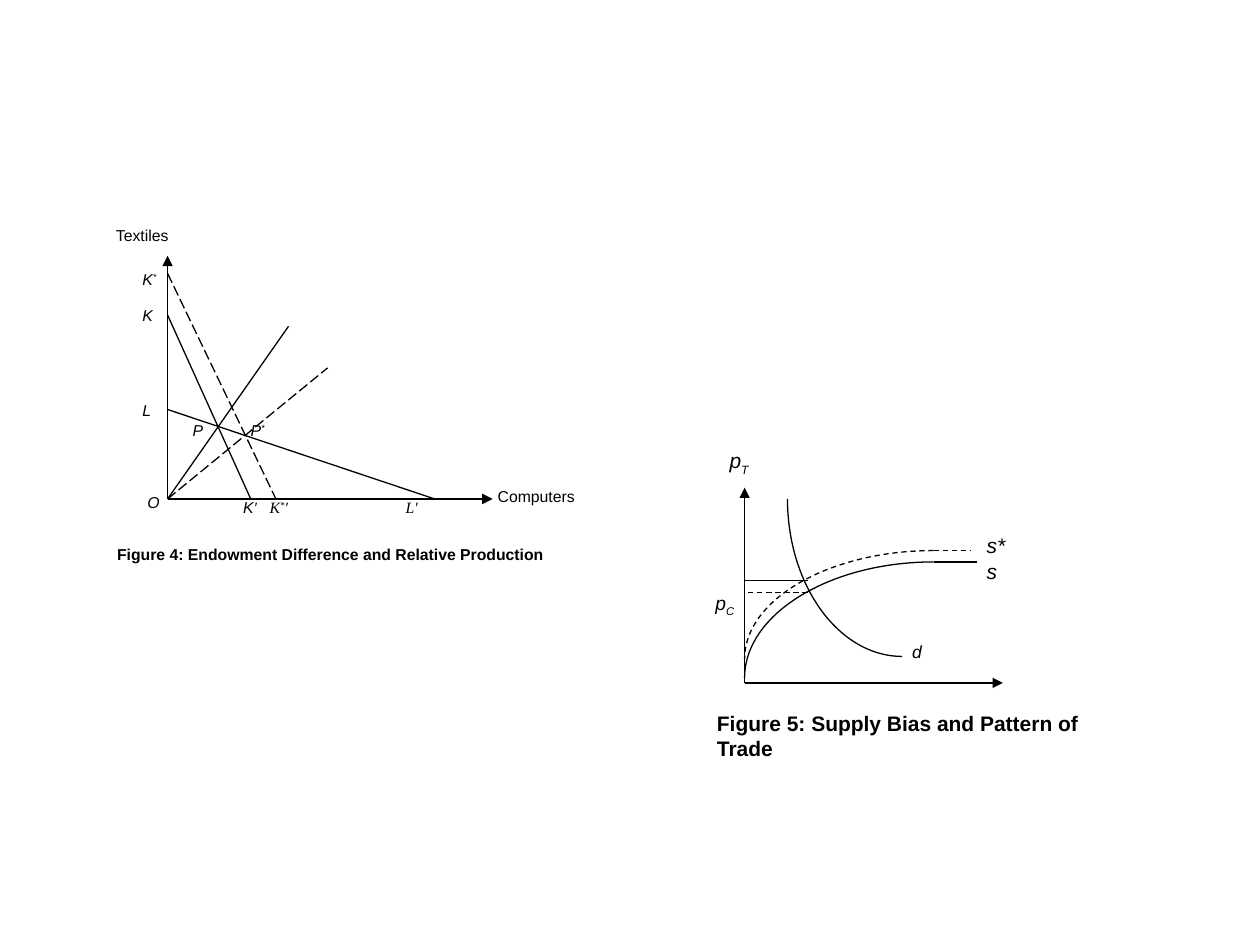
from lxml.etree import SubElement
from pptx import Presentation
from pptx.dml.color import RGBColor
from pptx.enum.dml import MSO_LINE as Dash
from pptx.enum.shapes import MSO_CONNECTOR as Connector
from pptx.oxml.ns import qn
from pptx.util import Inches, Pt

BLACK = RGBColor(0, 0, 0)
LINE_WIDTH = Pt(0.75)
BASELINES = {"^": "30000", "_": "-25000"}
BASELINES["_"] = "-30000"

BASELINES = {"^": "30000", "_": "-30000"}

deck = Presentation()
deck.slide_width, deck.slide_height = Inches(10), Inches(7.5)
slide = deck.slides.add_slide(deck.slide_layouts[6])


def add_text(text, left, top, width, height, size=9, font="Arial", lead_font="Arial",
             bold=False, italic=True, inset=(0.05, 0.02), tabs=()):
    box = slide.shapes.add_textbox(Inches(left), Inches(top), Inches(width), Inches(height))
    frame = box.text_frame
    frame.word_wrap = True
    frame.margin_left = frame.margin_right = Inches(inset[0])
    frame.margin_top = frame.margin_bottom = Inches(inset[1])
    for row, line in enumerate(text.split("\n")):
        paragraph = frame.add_paragraph() if row else frame.paragraphs[0]
        if tabs:
            tab_list = SubElement(paragraph._p.get_or_add_pPr(), qn("a:tabLst"))
            for stop in tabs:
                SubElement(tab_list, qn("a:tab"), pos=str(Inches(stop)), algn="l")
        for order, piece in enumerate(line.split("|")):
            run = paragraph.add_run()
            run.text = piece.lstrip("^_")
            run.font.name = font if order else lead_font
            run.font.size = Pt(size)
            run.font.bold, run.font.italic = bold, italic
            run.font.color.rgb = BLACK
            if piece[0] in BASELINES:
                run._r.get_or_add_rPr().set("baseline", BASELINES[piece[0]])


def add_line(start, end, dash=None, arrow=False):
    line = slide.shapes.add_connector(Connector.STRAIGHT, *map(Inches, start + end))
    line.line.color.rgb = BLACK
    line.line.width = LINE_WIDTH
    if dash:
        line.line.dash_style = dash
    if arrow:
        SubElement(line.line._get_or_add_ln(), qn("a:tailEnd"), type="triangle")
    SubElement(line._element.spPr, qn("a:effectLst"))


endowment_origin = (1.33, 3.96)
add_line(endowment_origin, (1.33, 2.03), arrow=True)
add_line(endowment_origin, (3.91, 3.96), arrow=True)
add_line((1.33, 3.25), (3.45, 3.96))
add_line((1.33, 2.5), (1.99, 3.96))
add_line((1.33, 2.17), (2.19, 3.96), dash=Dash.LONG_DASH)
add_line(endowment_origin, (2.29, 2.59))
add_line(endowment_origin, (2.6, 2.92), dash=Dash.LONG_DASH)

add_text("Computers", 3.9, 3.84, 0.78, 0.41, italic=False)
add_text("Textiles", 0.87, 1.77, 0.61, 0.41, italic=False)
add_text("O", 1.12, 3.89, 0.23, 0.23)
add_text("L", 1.08, 3.16, 0.2, 0.23)
add_text("K", 1.08, 2.41, 0.22, 0.23)
add_text("K|^*", 1.08, 2.12, 0.27, 0.41)
add_text("K|′\tK|^*|′\tL′", 1.88, 3.93, 1.88, 0.24, font="Times New Roman", tabs=(0.21, 1.29))
add_text("P\tP|^*", 1.48, 3.32, 0.77, 0.41, tabs=(0.46,))
add_text("Figure 4: Endowment Difference and Relative Production",
         0.88, 4.3, 3.96, 0.41, bold=True, italic=False)

market_origin = (5.91, 5.42)
add_line(market_origin, (5.91, 3.87), arrow=True)
add_line(market_origin, (7.96, 5.42), arrow=True)
add_line((7.41, 4.37), (7.71, 4.37), dash=Dash.DASH)
add_line((7.41, 4.46), (7.75, 4.46))
add_line((6.41, 4.7), (5.91, 4.7), dash=Dash.DASH)
add_line((5.91, 4.61), (6.41, 4.61))

STEPS = 40
BEND = 0.55
foreign_supply = ((7.41, 4.37), (5.91, 5.23), Dash.DASH)
home_supply = ((7.41, 4.46), (5.91, 5.38), None)
demand = ((7.16, 5.21), (6.25, 3.96), None)
for (flat_x, flat_y), (steep_x, steep_y), dash in (foreign_supply, home_supply, demand):
    bend_x = flat_x + BEND * (steep_x - flat_x)
    bend_y = steep_y + BEND * (flat_y - steep_y)
    points = []
    for step in range(STEPS + 1):
        t = step / STEPS
        a, b, c, d = (1 - t) ** 3, 3 * t * (1 - t) ** 2, 3 * t ** 2 * (1 - t), t ** 3
        points.append((Inches(a * flat_x + b * bend_x + (c + d) * steep_x),
                       Inches((a + b) * flat_y + c * bend_y + d * steep_y)))
    outline = slide.shapes.build_freeform(*points[0])
    outline.add_line_segments(points[1:], close=False)
    curve = outline.convert_to_shape()
    curve.shadow.inherit = False
    curve.fill.background()
    curve.line.color.rgb = BLACK
    curve.line.width = LINE_WIDTH
    if dash:
        curve.line.dash_style = dash

add_text("p|_T", 5.74, 3.53, 0.34, 0.24, size=12)
add_text("s*\ns", 7.78, 4.21, 0.25, 0.62, size=12)
add_text("d", 7.14, 5.04, 0.27, 0.24, size=10, inset=(0.1, 0.05))
add_text("p|_C", 5.58, 4.64, 0.38, 0.51, size=11, inset=(0.1, 0.05))
add_text("Figure 5: Supply Bias and Pattern of Trade",
         5.64, 5.62, 3.31, 0.43, size=12, bold=True, italic=False)

deck.save("out.pptx")
